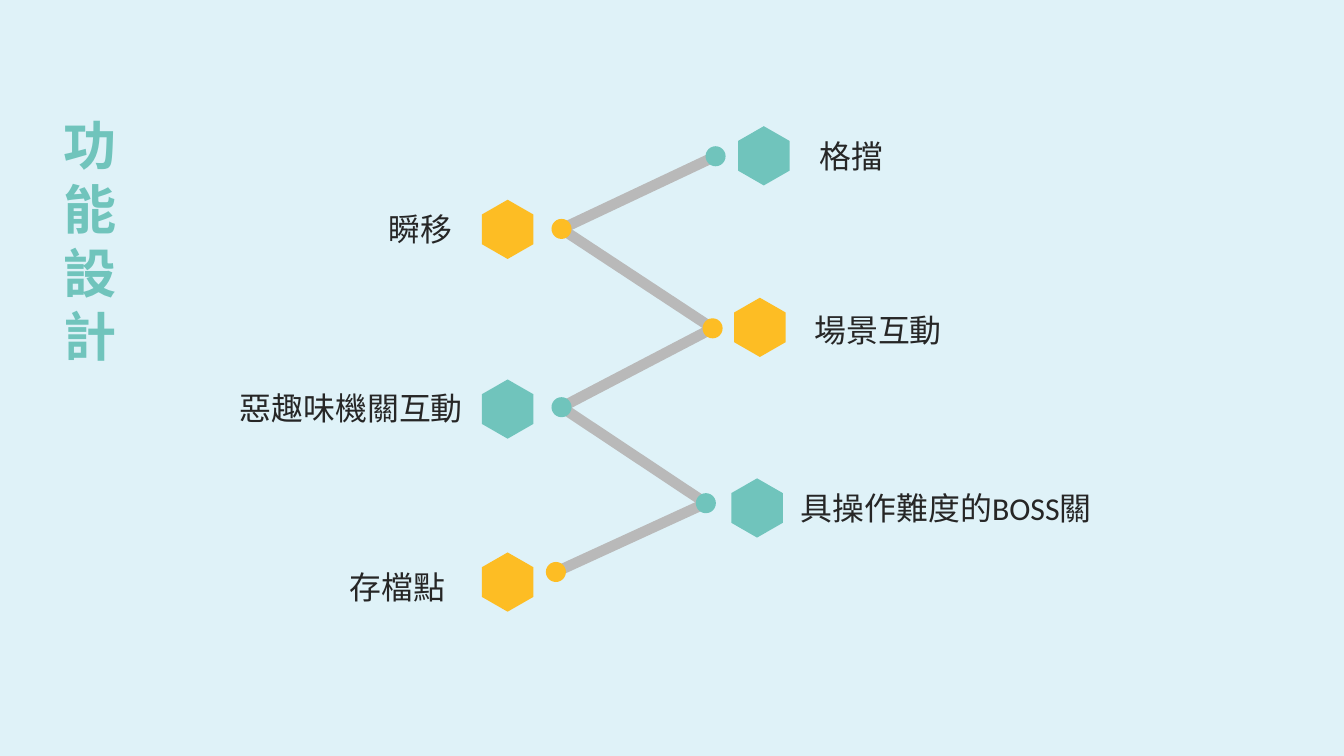
from itertools import pairwise
from lxml import etree
from pptx import Presentation
from pptx import util as u
from pptx.dml.color import RGBColor
from pptx.enum import shapes
from pptx.oxml.ns import qn

WIDTH, HEIGHT = u.Inches(14.06), u.Inches(7.91)
TEAL, AMBER, GREY, INK, SKY = "70C4BC", "FDBD24", "B9B9B9", "262626", "DFF2F8"
HEX_W, HEX_H = 3.84, 7.84
DOT = u.Inches(0.21)

# Percent of slide width and height:
# label, colour, dot centre, hexagon centre, label corner, label width
FEATURES = [
    ("格擋", TEAL, (53.24, 20.67), (56.83, 20.61), (60.31, 17.45), 6.26),
    ("瞬移", AMBER, (41.78, 30.28), (37.77, 30.34), (28.24, 27.05), 6.26),
    ("場景互動", AMBER, (53.02, 43.43), (56.54, 43.3), (59.89, 40.46), 11.02),
    ("惡趣味機關互動", TEAL, (41.78, 53.86), (37.77, 54.11), (17.14, 50.82), 18.21),
    ("具操作難度的BOSS關", TEAL, (52.52, 66.56), (56.33, 67.19), (58.89, 63.97), 23.26),
    ("存檔點", AMBER, (41.36, 75.66), (37.77, 76.99), (25.32, 74.46), 8.61),
]


def rgb(value):
    return RGBColor.from_string(value)


def at(x, y):
    """Turn percentages of the slide into lengths."""
    return round(WIDTH * x / 100), round(HEIGHT * y / 100)


def paint(sp, color):
    sp.shadow.inherit = False
    sp.fill.solid()
    sp.fill.fore_color.rgb = rgb(color)
    sp.line.fill.background()


def add_text(s, lines, corner, size, *, pt=24, font="Calibri", color=INK, bold=False):
    tf = s.shapes.add_textbox(*at(*corner), *at(*size)).text_frame
    tf.word_wrap = True
    for i, line in enumerate(lines):
        p = tf.add_paragraph() if i else tf.paragraphs[0]
        r = p.add_run()
        r.text = line
        r.font.size, r.font.name, r.font.bold = u.Pt(pt), font, bold
        r.font.color.rgb = rgb(color)


def add_link(s, start, end):
    line = s.shapes.add_connector(shapes.MSO_CONNECTOR.STRAIGHT, *at(*start), *at(*end))
    line.line.width = u.Pt(8)
    line.line.color.rgb = rgb(GREY)
    etree.SubElement(line._element.find(qn("p:spPr")), qn("a:effectLst"))


def add_dot(s, center, color):
    x, y = at(*center)
    paint(s.shapes.add_shape(shapes.MSO_SHAPE.OVAL, x - DOT // 2, y - DOT // 2, DOT, DOT), color)


def add_hexagon(s, center, color):
    """Draw a hexagon that stands on a corner."""
    x, y = center
    offsets = [(0, -0.5), (0.5, -0.25), (0.5, 0.25), (0, 0.5), (-0.5, 0.25), (-0.5, -0.25)]
    points = [at(x + dx * HEX_W, y + dy * HEX_H) for dx, dy in offsets]
    outline = s.shapes.build_freeform(*points[0])
    outline.add_line_segments(points[1:], close=True)
    paint(outline.convert_to_shape(), color)


def main():
    prs = Presentation()
    prs.slide_width, prs.slide_height = WIDTH, HEIGHT
    s = prs.slides.add_slide(prs.slide_layouts[6])
    s.background.fill.solid()
    s.background.fill.fore_color.rgb = rgb(SKY)

    add_text(s, "功能設計", (4.05, 14.29), (5.5, 35.27),
             pt=40, font="Arial", color=TEAL, bold=True)
    dots = [feature[2] for feature in FEATURES]
    for start, end in pairwise(dots):
        add_link(s, start, end)
    for label, color, dot, hexagon, corner, width in FEATURES:
        add_dot(s, dot, color)
        add_hexagon(s, hexagon, color)
        add_text(s, [label], corner, (width, 6.32))
    prs.save("out.pptx")


if __name__ == "__main__":
    main()
